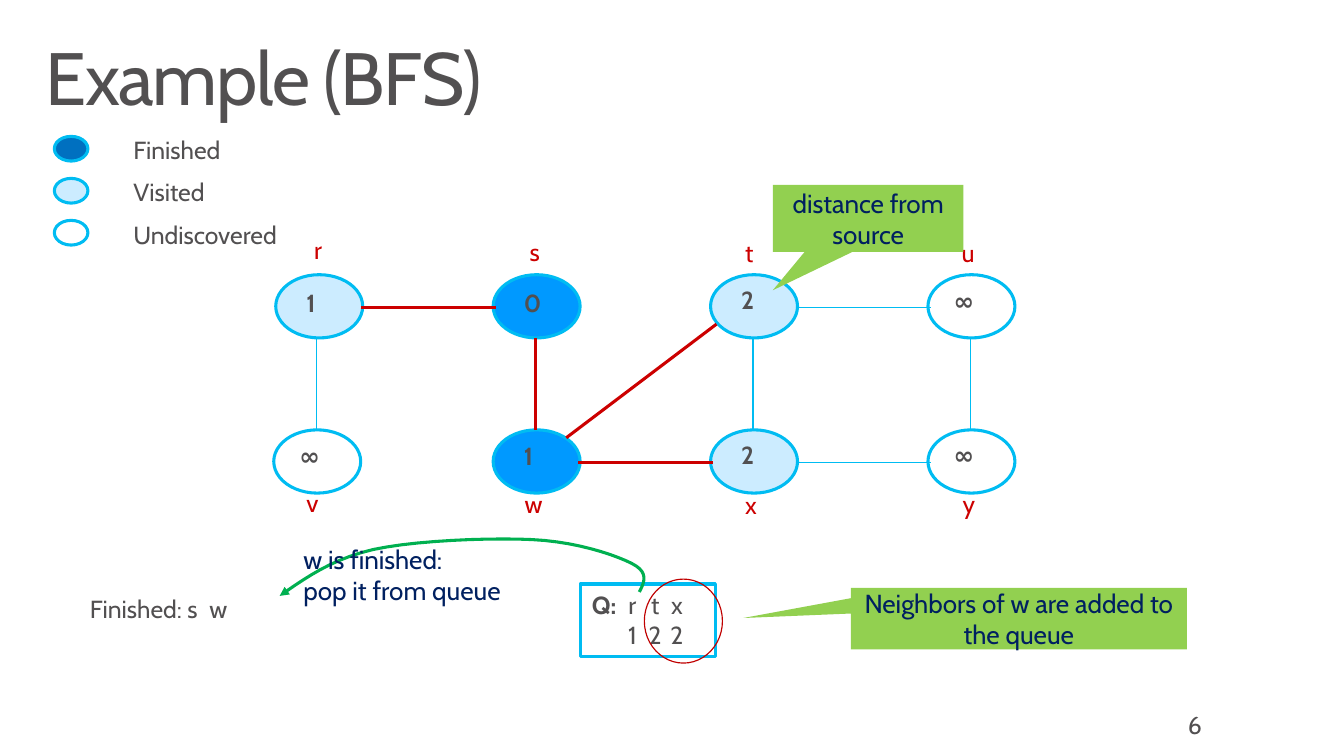
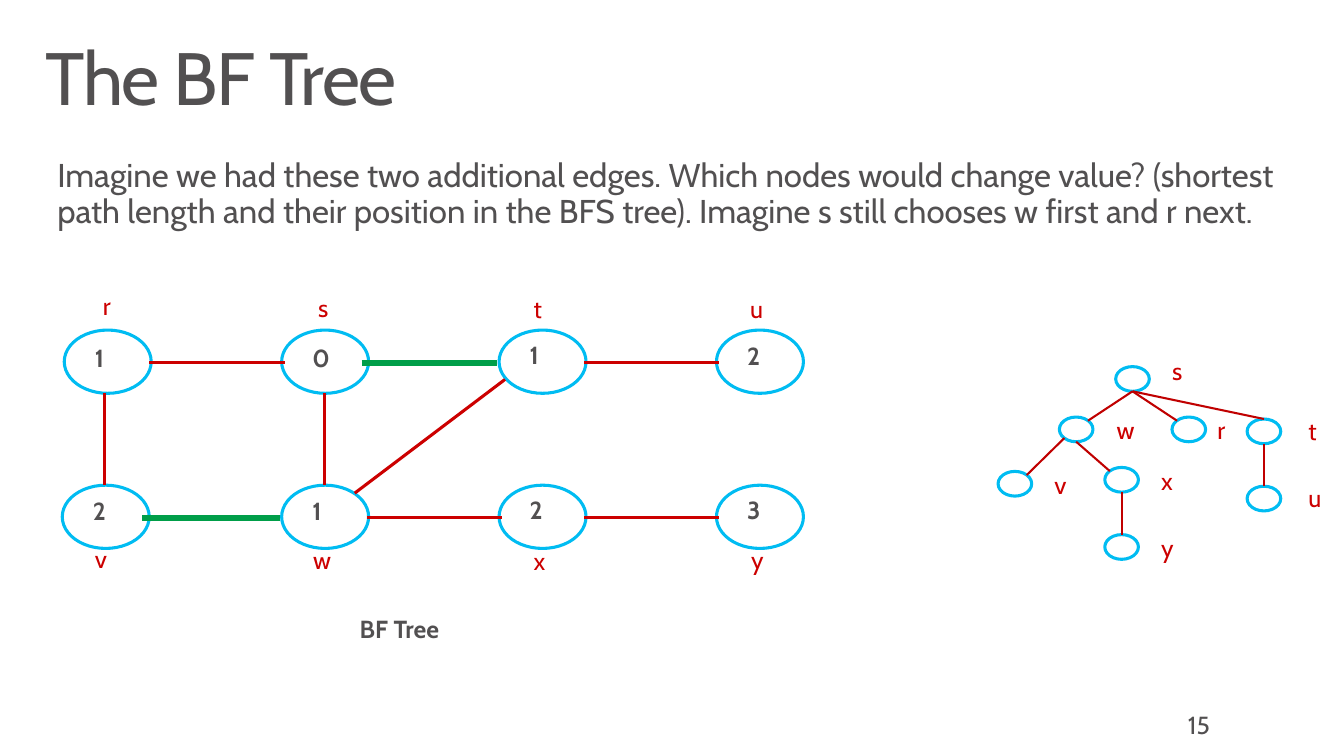
"""Build two slides on breadth-first search: one search step and the resulting tree."""
from lxml.etree import SubElement
from pptx import Presentation
from pptx.dml.color import RGBColor
from pptx.enum.shapes import MSO_CONNECTOR as LINK, MSO_SHAPE as KIND
from pptx.enum.text import MSO_ANCHOR as ANCHOR, MSO_AUTO_SIZE as SIZE, PP_ALIGN as ALIGN
from pptx.oxml.ns import qn
from pptx.util import Inches, Pt

GRAY = RGBColor(0x52, 0x50, 0x51)
CYAN = RGBColor(0x00, 0xBC, 0xF2)
RED = RGBColor(0xCC, 0x00, 0x00)
DARK = RGBColor(0xC0, 0x00, 0x00)
NAVY = RGBColor(0x00, 0x20, 0x60)
BLUE = RGBColor(0x00, 0x99, 0xFF)
DEEP = RGBColor(0x00, 0x70, 0xC0)
PALE = RGBColor(0xCC, 0xEC, 0xFF)
LIME = RGBColor(0x92, 0xD0, 0x50)
LEAF = RGBColor(0x00, 0xB0, 0x50)
GREEN = RGBColor(0x00, 0x9E, 0x49)
WHITE = RGBColor(0xFF, 0xFF, 0xFF)

WIDE, HIGH, STEP = 0.88, 0.64, 2.2
SMALL, SHORT = 0.34, 0.25
TEXT = 0.43
WIDTHS = {"r": 0.33, "s": 0.37, "t": 0.32, "u": 0.39,
          "v": 0.4, "w": 0.46, "x": 0.37, "y": 0.39}
SITES = {"top": (0.5, 0), "bottom": (0.5, 1), "nw": (0.15, 0.15),
         "ne": (0.85, 0.15), "sw": (0.15, 0.85)}


def put(slide, box, text="", kind=None, fill=None, line=None, width=2.25, size=18,
        color=GRAY, bold=False, wrap=True, inset=(0.12, 0.06), tabs=(), para=None):
    """Add a text box, or a preset shape if a kind is given."""
    place = [Inches(part) for part in box]
    if kind is None:
        shape = slide.shapes.add_textbox(*place)
    else:
        shape = slide.shapes.add_shape(kind, *place)
        shape.shadow.inherit = False
        if fill is None:
            shape.fill.background()
        else:
            shape.fill.solid()
            shape.fill.fore_color.rgb = fill
        if line is None:
            shape.line.fill.background()
        else:
            shape.line.color.rgb = line
            shape.line.width = Pt(width)
    if not text:
        return shape
    frame = shape.text_frame
    side, edge = (Inches(part) for part in inset)
    look = {"word_wrap": wrap, "margin_left": side, "margin_right": side,
            "margin_top": edge, "margin_bottom": edge, "auto_size": SIZE.NONE,
            "vertical_anchor": ANCHOR.TOP}
    for name, value in look.items():
        setattr(frame, name, value)
    style = {"name": "Cabin", "size": Pt(size), "bold": bold}
    for spot, words in enumerate(text.split("\n")):
        item = frame.add_paragraph() if spot else frame.paragraphs[0]
        for name, value in {"alignment": ALIGN.LEFT, **(para or {})}.items():
            setattr(item, name, value)
        if tabs:
            stops = SubElement(item._p.get_or_add_pPr(), qn("a:tabLst"))
            for stop in tabs:
                SubElement(stops, qn("a:tab"), pos=str(Inches(stop)), algn="ctr")
        for part in words.split("|"):
            run = item.add_run()
            run.text = part
            run.font.color.rgb = color
            for name, value in style.items():
                setattr(run.font, name, value)
    return shape


def join(slide, start, end, color=RED, width=2.25):
    """Add a straight edge between two points."""
    ends = [Inches(part) for part in (*start, *end)]
    edge = slide.shapes.add_connector(LINK.STRAIGHT, *ends)
    edge.line.color.rgb = color
    edge.line.width = Pt(width)
    SubElement(edge._element.spPr, qn("a:effectLst"))


deck = Presentation()
deck.slide_width, deck.slide_height = Inches(13.6), Inches(7.65)

NODES = {
    "r": (0, 0, 0.07, 0.27, -0.46), "s": (1, 0, 0.07, 0.25, -0.44),
    "t": (2, 0, 0.04, 0.23, -0.43), "u": (3, 0, 0.05, 0.22, -0.43),
    "v": (0, 1, 0.05, 0.21, 0.53), "w": (1, 1, 0.05, 0.2, 0.54),
    "x": (2, 1, 0.04, 0.23, 0.55), "y": (3, 1, 0.04, 0.23, 0.54),
}
THIN, BOLD, EXTRA = (CYAN, 0.75), (RED, 2.25), (GREEN, 4.5)
PAGES = [
    {"title": "Example (BFS)", "page": "6", "left": 2.79, "top": 2.78,
     "values": dict(zip("rstuvwxy", "102∞∞12∞")),
     "fills": {"r": PALE, "s": BLUE, "t": PALE, "w": BLUE, "x": PALE},
     "edges": {"rs": BOLD, "wx": BOLD, "xy": THIN, "tu": THIN, "rv": THIN,
               "sw": BOLD, "tx": THIN, "uy": THIN, "wt": BOLD}},
    {"title": "The BF Tree", "page": "15", "left": 0.65, "top": 3.34,
     "values": dict(zip("rstuvwxy", "10122123")), "fills": {},
     "edges": {"rs": BOLD, "wx": BOLD, "xy": BOLD, "tu": BOLD, "rv": BOLD,
               "sw": BOLD, "wt": BOLD, "vw": EXTRA, "st": EXTRA}},
]

slides = []
for page in PAGES:
    slide = deck.slides.add_slide(deck.slide_layouts[6])
    slides.append(slide)
    title = put(slide, (0.3, 0.32, 13, 1), page["title"], size=54, inset=(0.16, 0.1),
                para={"line_spacing": 0.9})
    title.text_frame.paragraphs[0].runs[0].font._element.set("spc", "-100")
    put(slide, (11.9, 7.12, 1.02, 0.53), page["page"])
    spots = {}
    for name, (col, row, drop, dx, dy) in NODES.items():
        x = page["left"] + col * STEP - (0.02 if name == "v" else 0)
        y = page["top"] + row * 1.57
        spots[name] = x, y
        put(slide, (x, y, WIDE, HIGH), kind=KIND.OVAL, fill=page["fills"].get(name),
            line=CYAN)
        value = page["values"][name]
        far = value == "∞"
        put(slide, (x + (0.14 if far else 0.19), y + drop, TEXT if far else 0.39, TEXT),
            value, bold=True, wrap=False)
        put(slide, (x + dx, y + dy, WIDTHS[name], TEXT), name, color=RED, wrap=False)
    for (tail, head), (color, width) in page["edges"].items():
        (x1, y1), (x2, y2) = spots[tail], spots[head]
        if tail + head == "wt":
            start, end = (x1 + 0.74, y1 + 0.08), (x2 + 0.06, y2 + 0.5)
        elif y1 == y2:
            back = 0.05 if color == GREEN else 0
            start, end = (x1 + 0.86 - back, y1 + 0.33), (x2 + 0.03 - back, y2 + 0.33)
        else:
            start, end = (x2 + 0.43, y1 + HIGH), (x2 + 0.43, y2)
        join(slide, start, end, color, width)

step, tree = slides

queue = put(step, (5.87, 5.91, 1.37, 0.73), "Q:|\tr\tt\tx\n\t1\t2\t2", KIND.RECTANGLE,
            line=CYAN, tabs=(0.41, 0.64, 0.86))
queue.text_frame.paragraphs[0].runs[0].font.bold = True
put(step, (0.79, 5.95, 3.97, TEXT), "Finished: s\tw", tabs=(1.3,))

CALLS = [
    ((7.82, 1.87, 1.93, 0.68), "distance from source", (-0.5, 1.07)),
    ((8.61, 5.95, 3.4, 0.62), "Neighbors of w are added to the queue", (-0.82, -0.01)),
]
for box, words, tip in CALLS:
    call = put(step, box, words, KIND.RECTANGULAR_CALLOUT, LIME, size=19, color=NAVY,
               para={"alignment": ALIGN.CENTER})
    call.text_frame.vertical_anchor = ANCHOR.MIDDLE
    call.adjustments[0], call.adjustments[1] = tip

BENDS = [(6.47, 5.99), (6.52, 5.89), (6.57, 5.79), (6.39, 5.7), (6.21, 5.61),
         (5.82, 5.48), (5.38, 5.46), (4.94, 5.44), (4.2, 5.47), (3.78, 5.56),
         (3.35, 5.66), (3.09, 5.85), (2.83, 6.03)]
points = []
for first in range(0, len(BENDS) - 1, 3):
    for tick in range(1, 11):
        t = tick / 10
        parts = ((1 - t) ** 3, 3 * t * (1 - t) ** 2, 3 * t * t * (1 - t), t ** 3)
        points.append([Inches(sum(part * bend[axis] for part, bend
                                  in zip(parts, BENDS[first:first + 4])))
                       for axis in (0, 1)])
path_maker = step.shapes.build_freeform(*(Inches(part) for part in BENDS[0]))
path_maker.add_line_segments(points, close=False)
arrow = path_maker.convert_to_shape()
arrow.shadow.inherit = False
arrow.fill.background()
arrow.line.color.rgb = LEAF
arrow.line.width = Pt(2.25)
SubElement(arrow._element.spPr.get_or_add_ln(), qn("a:tailEnd"), type="triangle")

put(step, (2.95, 5.44, 2.33, 0.76), "w is finished:\npop it from queue", size=19,
    color=NAVY, wrap=False)
put(step, (6.52, 5.86, 0.79, 0.85), kind=KIND.OVAL, line=DARK, width=0.85)

LEGEND = [("Finished", DEEP), ("Visited", PALE), ("Undiscovered", WHITE)]
for row, (words, fill) in enumerate(LEGEND):
    put(step, (0.55, 1.38 + row * 0.425, SMALL, SHORT), kind=KIND.OVAL, fill=fill,
        line=CYAN)
    put(step, (1.23, 1.3 + row * 0.43, 2.61, TEXT), words)

put(tree, (3.52, 6.15, 1.17, TEXT), "BF Tree", bold=True, wrap=False)
put(tree, (0.38, 1.45, 12.84, 1.42),
    "Imagine we had these two additional edges. Which nodes would change value? "
    "(shortest path length and their position in the BFS tree). "
    "Imagine s still chooses w first and r next.",
    size=24, inset=(0.2, 0.16), para={"line_spacing": 0.9, "space_after": Pt(6)})

LEAVES = {
    "s": (11.29, 3.71, 0.45, -0.17), "w": (10.72, 4.22, 0.46, -0.08),
    "r": (11.86, 4.22, 0.34, -0.08), "t": (12.62, 4.24, 0.5, -0.09),
    "x": (11.18, 4.73, 0.45, -0.08), "v": (10.1, 4.77, 0.45, -0.08),
    "u": (12.62, 4.92, 0.5, -0.09), "y": (11.18, 5.41, 0.45, -0.08),
}
for name, (x, y, dx, dy) in LEAVES.items():
    put(tree, (x, y, SMALL, SHORT), kind=KIND.OVAL, fill=WHITE, line=CYAN)
    put(tree, (x + dx, y + dy, WIDTHS[name], TEXT), name, color=RED, wrap=False)

TWIGS = [("s", "bottom", "w", "ne"), ("s", "bottom", "r", "nw"),
         ("s", "bottom", "t", "top"), ("w", "bottom", "x", "nw"),
         ("w", "sw", "v", "ne"), ("t", "bottom", "u", "top"),
         ("x", "bottom", "y", "top")]
for tail, leave, head, reach in TWIGS:
    start, end = [(LEAVES[name][0] + SMALL * SITES[site][0],
                   LEAVES[name][1] + SHORT * SITES[site][1])
                  for name, site in ((tail, leave), (head, reach))]
    join(tree, start, end, DARK, 1.5)

deck.save("out.pptx")
